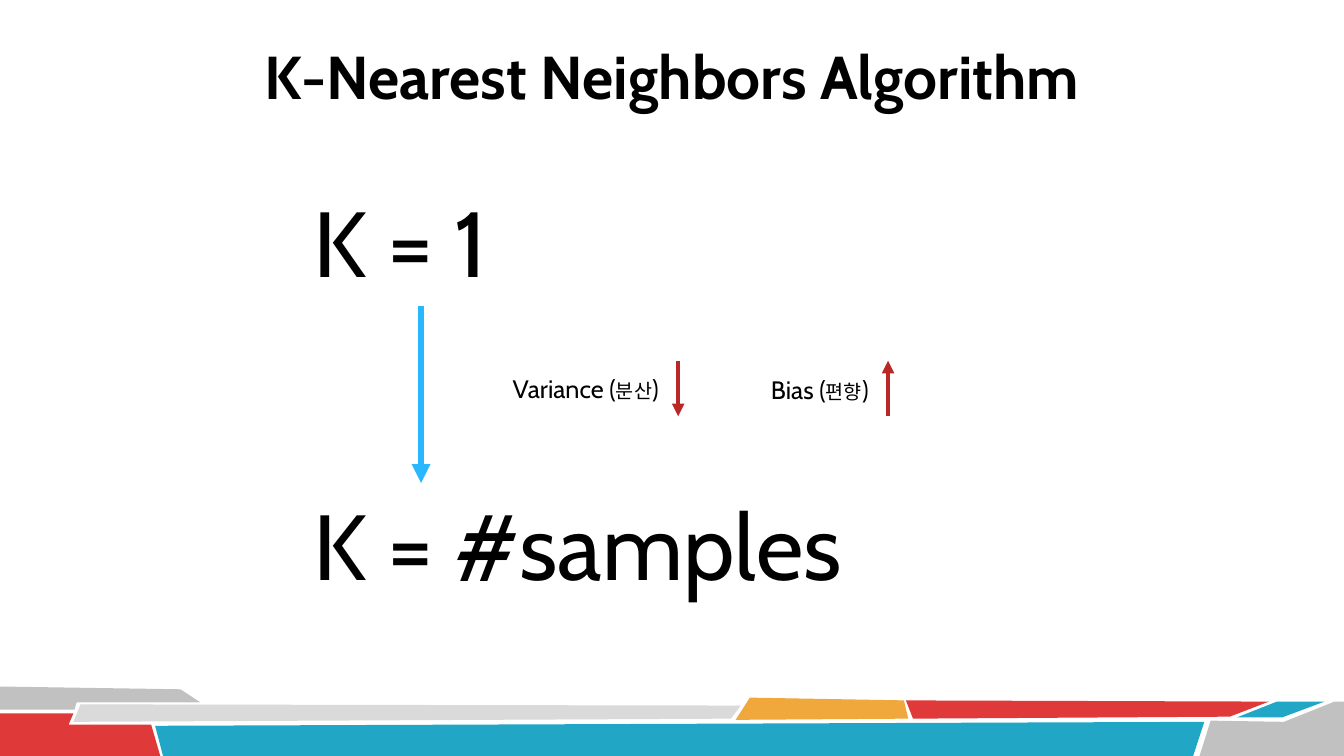
from dataclasses import dataclass

from lxml.etree import SubElement
from pptx import Presentation
from pptx.dml.color import RGBColor
from pptx.enum.shapes import MSO_CONNECTOR
from pptx.enum.text import MSO_ANCHOR, PP_ALIGN
from pptx.oxml.ns import qn
from pptx.util import Cm, Pt


@dataclass(frozen=True)
class Theme:
    black: str = "000000"
    grey: str = "C1C1C1"
    light: str = "DADADA"
    red: str = "DF3939"
    teal: str = "21A6C5"
    amber: str = "F0A73C"
    sky: str = "29B8FF"
    crimson: str = "B92727"
    latin: str = "Cabin"
    korean: str = "Arial"
    title: float = 43.2
    formula: float = 66
    label: float = 18
    gloss: float = 14


class SlideBuilder:
    def __init__(self, slide, theme):
        self.slide = slide
        self.theme = theme

    def text(self, box, runs, anchor=MSO_ANCHOR.TOP, align=PP_ALIGN.LEFT, bold=False):
        holder = self.slide.shapes.add_textbox(*map(Cm, box))
        frame = holder.text_frame
        for name, value in {"word_wrap": True, "vertical_anchor": anchor}.items():
            setattr(frame, name, value)
        paragraph = frame.paragraphs[0]
        paragraph.alignment = align
        for words, font_name, size in runs:
            run = paragraph.add_run()
            run.text = words
            run.font.color.rgb = RGBColor.from_string(self.theme.black)
            for name, value in {"name": font_name, "size": Pt(size), "bold": bold}.items():
                setattr(run.font, name, value)
        return holder

    def formula(self, box, words):
        return self.text(box, [(words, self.theme.latin, self.theme.formula)])

    def label(self, box, english, korean):
        theme = self.theme
        return self.text(box, [
            (f"{english} (", theme.latin, theme.label),
            (korean, theme.korean, theme.gloss),
            (")", theme.latin, theme.label),
        ])

    def arrow(self, x, start_y, end_y, color, width, source=None):
        connector = self.slide.shapes.add_connector(
            MSO_CONNECTOR.STRAIGHT, Cm(x), Cm(start_y), Cm(x), Cm(end_y))
        if source is not None:
            connector.begin_connect(source, 2)
        connector.line.color.rgb = RGBColor.from_string(color)
        connector.line.width = Pt(width)
        SubElement(connector.line._get_or_add_ln(), qn("a:tailEnd"), type="triangle")
        SubElement(connector._element.spPr, qn("a:effectLst"))

    def shard(self, color, corners):
        start, *others = [(Cm(x), Cm(y)) for x, y in corners]
        outline = self.slide.shapes.build_freeform(*start)
        outline.add_line_segments(others, close=True)
        shard = outline.convert_to_shape()
        shard.shadow.inherit = False
        shard.fill.solid()
        shard.fill.fore_color.rgb = RGBColor.from_string(color)
        shard.line.fill.background()


def main():
    presentation = Presentation()
    for name, value in {"slide_width": Cm(33.87), "slide_height": Cm(19.05)}.items():
        setattr(presentation, name, value)
    theme = Theme()
    page = SlideBuilder(
        presentation.slides.add_slide(presentation.slide_layouts[6]), theme)

    footer = [
        (theme.grey, [(0, 17.3), (4.55, 17.37), (5.05, 17.7),
                      (1.93, 17.7), (1.88, 17.88), (0, 17.88)]),
        (theme.red, [(0, 17.98), (1.85, 17.98), (1.73, 18.26),
                     (3.81, 18.26), (4.04, 19.05), (0, 19.05)]),
        (theme.light, [(2.03, 17.75), (18.67, 17.78), (18.42, 18.11), (1.85, 18.19)]),
        (theme.teal, [(3.91, 18.29), (30.35, 18.19), (30.07, 19.05), (4.11, 19.05)]),
        (theme.amber, [(18.9, 17.58), (22.78, 17.65), (22.89, 18.11), (18.54, 18.14)]),
        (theme.red, [(22.83, 17.65), (31.98, 17.68), (30.99, 18.06), (23.01, 18.11)]),
        (theme.teal, [(32.18, 17.68), (33.38, 17.68), (32.31, 18.08), (31.17, 18.08)]),
        (theme.grey, [(30.51, 18.16), (32.36, 18.19), (33.63, 17.68),
                      (33.87, 17.68), (33.87, 19.05), (30.23, 19.05)]),
    ]
    for color, corners in footer:
        page.shard(color, corners)

    page.text((5.92, 0.3, 22.02, 3.18),
              [("K-Nearest Neighbors Algorithm", theme.latin, theme.title)],
              MSO_ANCHOR.MIDDLE, PP_ALIGN.CENTER, True)

    smallest_k = page.formula((7.65, 4.55, 5.92, 3.17), "K = 1")
    page.formula((7.65, 12.17, 13.82, 3.07), "K = #samples")
    page.arrow(10.61, 7.72, 12.17, theme.sky, 4.5, smallest_k)

    page.label((12.67, 9.27, 4.42, 1.02), "Variance", "분산")
    page.label((19.18, 9.3, 3.2, 1.02), "Bias", "편향")
    high, low = 9.09, 10.49
    page.arrow(22.38, low, high, theme.crimson, 3)
    page.arrow(17.09, high, low, theme.crimson, 3)

    presentation.save("out.pptx")


if __name__ == "__main__":
    main()
